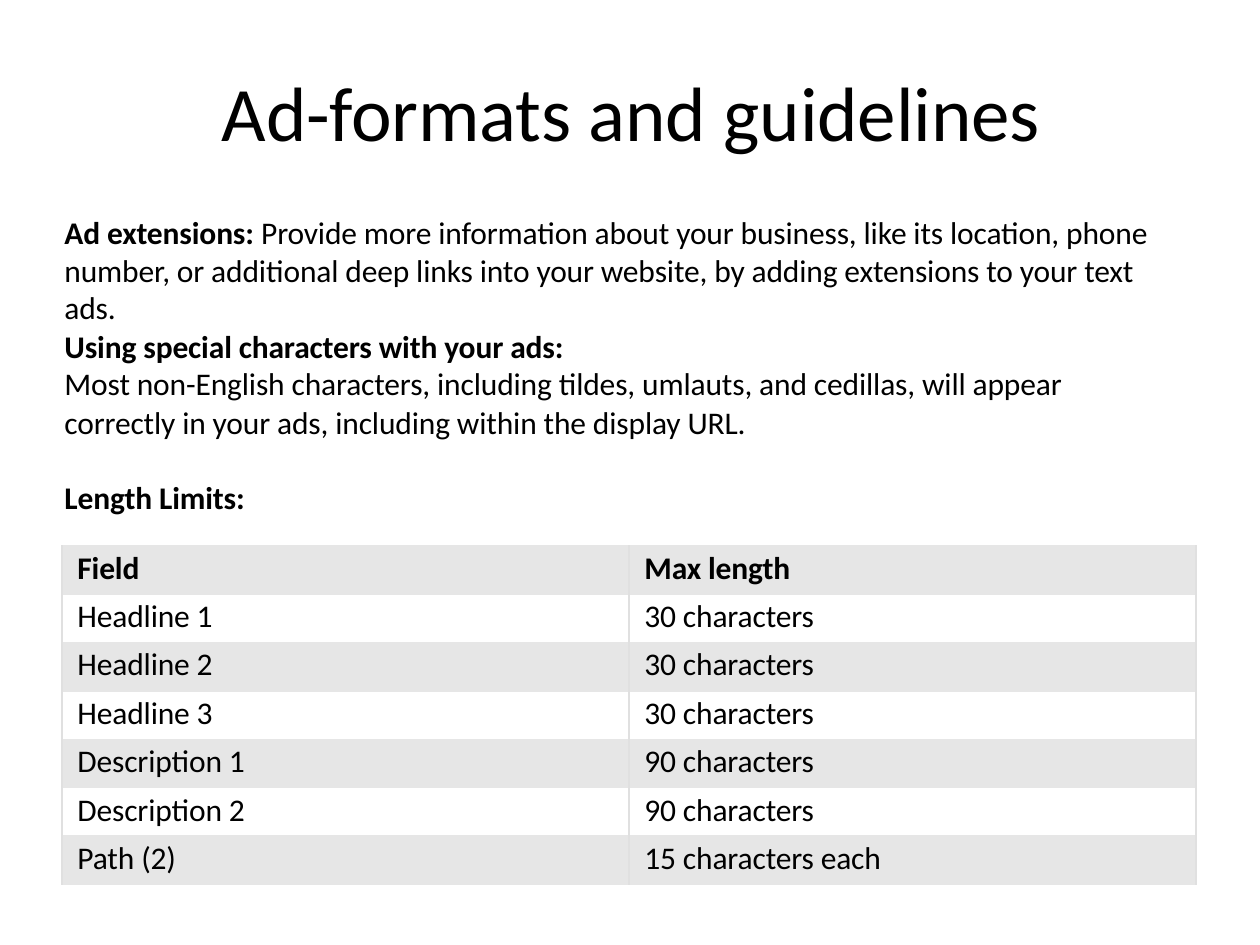
from pptx import Presentation
from pptx.dml.color import RGBColor
from pptx.enum.text import MSO_ANCHOR as Anchor, MSO_AUTO_SIZE as AutoSize, PP_ALIGN as Align
from pptx.oxml import parse_xml
from pptx.oxml.ns import nsdecls
from pptx.util import Cm, Pt

THEME = {
    "font": "Calibri",
    "text": RGBColor.from_string("000000"),
    "band": RGBColor.from_string("E6E6E6"),
    "plain": RGBColor.from_string("FFFFFF"),
    "rule": "E0E0E0",
    "title_size": Pt(44),
    "body_size": Pt(18),
}


def write(para, text, size=THEME["body_size"], bold=False):
    """Add a slightly tightened run in the theme font."""
    span = para.add_run()
    span.text = text
    for name, value in {"name": THEME["font"], "size": size, "bold": bold}.items():
        setattr(span.font, name, value)
    span.font.color.rgb = THEME["text"]
    span.font._element.set("spc", "-8")


def set_borders(cell):
    """Rule the left and right sides, and clear the top and bottom."""
    rule = f'<a:solidFill><a:srgbClr val="{THEME["rule"]}"/></a:solidFill>'
    sides = {"lnL": rule, "lnR": rule, "lnT": "<a:noFill/>", "lnB": "<a:noFill/>"}
    properties = cell._tc.get_or_add_tcPr()
    for index, (side, paint) in enumerate(sides.items()):
        line = parse_xml(f'<a:{side} {nsdecls("a")} w="{Pt(1)}">{paint}</a:{side}>')
        properties.insert(index, line)


deck = Presentation()
deck.slide_width, deck.slide_height = Cm(25.4), Cm(19.05)
page = deck.slides.add_slide(deck.slide_layouts[5])

# Title and body frames
title = page.shapes.title
title.left, title.top, title.width, title.height = Cm(4.4), Cm(1.27), Cm(16.64), Cm(1.93)
body = page.shapes.add_textbox(Cm(1.27), Cm(4.29), Cm(22.17), Cm(6.15))
frame_format = {
    "margin_left": 0, "margin_right": 0, "margin_top": Cm(0.04), "margin_bottom": 0,
    "word_wrap": True, "auto_size": AutoSize.NONE, "vertical_anchor": Anchor.TOP,
}
for box in (title, body):
    for name, value in frame_format.items():
        setattr(box.text_frame, name, value)

para = title.text_frame.paragraphs[0]
para.alignment = Align.CENTER
para.space_before = Pt(1)
write(para, "Ad-formats and guidelines", THEME["title_size"])

# Each paragraph: bold lead, plain text, space before, line spacing
paragraphs = [
    ("Ad extensions: ",
     "Provide more information about your business, like its location, phone number, "
     "or additional deep links into your website, by adding extensions to your text ads.",
     Pt(1.1), 0.99),
    ("Using special characters with your ads:", "", Pt(0.5), Pt(21.2)),
    ("", "Most non-English characters, including tildes, umlauts, and cedillas, will appear",
     Pt(0), Pt(21.2)),
    ("", "correctly in your ads, including within the display URL.", Pt(0.5), 1.0),
    ("Length Limits:", "", Pt(21.2), 1.0),
]
for index, (lead, text, before, spacing) in enumerate(paragraphs):
    frame = body.text_frame
    para = frame.add_paragraph() if index else frame.paragraphs[0]
    para.alignment = Align.LEFT
    para.space_before, para.line_spacing = before, spacing
    para._p.get_or_add_pPr().set("marL", str(Cm(0.03)))
    for words, bold in ((lead, True), (text, False)):
        if words:
            write(para, words, bold=bold)

# Length limits
limits = [
    ("Field", "Max length"),
    ("Headline 1", "30 characters"),
    ("Headline 2", "30 characters"),
    ("Headline 3", "30 characters"),
    ("Description 1", "90 characters"),
    ("Description 2", "90 characters"),
    ("Path (2)", "15 characters each"),
]
table = page.shapes.add_table(
    len(limits), 2, Cm(1.25), Cm(10.99), Cm(22.86), Cm(6.85)).table
table.first_row = table.horz_banding = False
for column in table.columns:
    column.width = Cm(11.43)

for row_index, values in enumerate(limits):
    banded = row_index % 2 == 0
    table.rows[row_index].height = Cm(1) if banded else Cm(0.95)
    cell_format = {
        "margin_left": Cm(0.31), "margin_right": 0, "margin_bottom": 0,
        "margin_top": Cm(0.08) if banded else Cm(0.06), "vertical_anchor": Anchor.TOP,
    }
    for column_index, value in enumerate(values):
        cell = table.cell(row_index, column_index)
        for name, setting in cell_format.items():
            setattr(cell, name, setting)
        cell.fill.solid()
        cell.fill.fore_color.rgb = THEME["band"] if banded else THEME["plain"]
        set_borders(cell)
        para = cell.text_frame.paragraphs[0]
        para.space_before = Pt(2.3) if banded else Pt(1.6)
        write(para, value, bold=row_index == 0)

deck.save("out.pptx")
